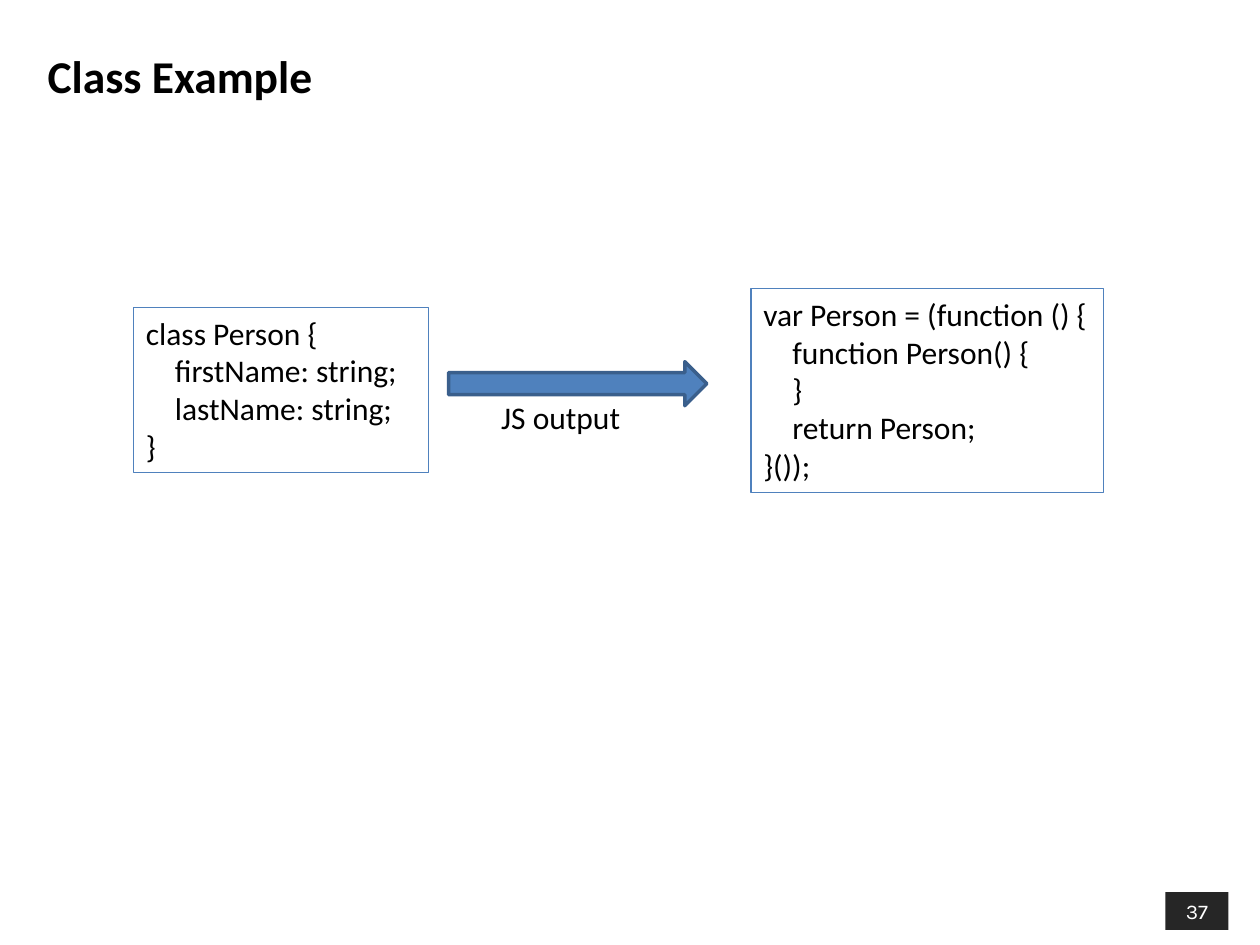
from dataclasses import dataclass

from pptx import Presentation
from pptx.dml.color import RGBColor
from pptx.enum.shapes import MSO_SHAPE
from pptx.enum.text import MSO_ANCHOR, MSO_AUTO_SIZE, PP_ALIGN
from pptx.shapes.autoshape import Shape
from pptx.util import Pt

PX = 9144  # EMU per px, 100 px to the inch
INDENT = 23
RECT, ARROW = MSO_SHAPE.RECTANGLE, MSO_SHAPE.RIGHT_ARROW
TOP, MIDDLE = MSO_ANCHOR.TOP, MSO_ANCHOR.MIDDLE
LEFT, CENTER = PP_ALIGN.LEFT, PP_ALIGN.CENTER
GROW = MSO_AUTO_SIZE.SHAPE_TO_FIT_TEXT
BLACK, WHITE, DARK = "000000", "FFFFFF", "262626"
BLUE, NAVY = "4F81BD", "3A5F8C"


@dataclass
class Box:
    left: int
    top: int
    width: int
    height: int

    def emu(self) -> list[int]:
        return [n * PX for n in (self.left, self.top, self.width, self.height)]


@dataclass
class Line:
    text: str
    level: int = 0


@dataclass
class Code:
    box: Box
    wrap: bool
    lines: list[Line]


CODES = [
    Code(Box(106, 244, 234, 131), True, [
        Line("class Person {"),
        Line("firstName: string;", 1),
        Line("lastName: string;", 1),
        Line("}"),
    ]),
    Code(Box(596, 229, 280, 162), False, [
        Line("var Person = (function () {"),
        Line("function Person() {", 1),
        Line("}", 1),
        Line("return Person;", 1),
        Line("}());"),
    ]),
]


def color(code: str) -> RGBColor:
    return RGBColor.from_string(code)


def draw(slide, kind: MSO_SHAPE, box: Box, fill: str = "",
         line: str = "", weight: float = 0.75) -> Shape:
    """Add a preset shape; an empty colour means no fill or no line."""
    shape = slide.shapes.add_shape(kind, *box.emu())
    shape.shadow.inherit = False
    if fill:
        shape.fill.solid()
        shape.fill.fore_color.rgb = color(fill)
    else:
        shape.fill.background()
    if line:
        shape.line.color.rgb = color(line)
        shape.line.width = Pt(weight)
    else:
        shape.line.fill.background()
    return shape


def write(shape: Shape, lines: list[Line], size: int = 18, ink: str = BLACK,
          face: str = "Calibri", bold: bool = False, align: PP_ALIGN = LEFT,
          anchor: MSO_ANCHOR = TOP, wrap: bool = True) -> None:
    frame = shape.text_frame
    frame.word_wrap = wrap
    frame.vertical_anchor = anchor
    frame.text = "\n".join(line.text for line in lines)
    for para, line in zip(frame.paragraphs, lines):
        para.alignment = align
        if line.level:
            para._p.get_or_add_pPr().set("marL", str(line.level * INDENT * PX))
        for run in para.runs:
            font = run.font
            font.name, font.size, font.bold = face, Pt(size), bold
            font.color.rgb = color(ink)


def main() -> None:
    deck = Presentation()
    deck.slide_width, deck.slide_height = 1000 * PX, 750 * PX
    slide = deck.slides.add_slide(deck.slide_layouts[6])

    badge = draw(slide, RECT, Box(925, 708, 50, 30), DARK)
    write(badge, [Line("37")], 12, WHITE, "Karla", align=CENTER, anchor=MIDDLE)

    title = slide.shapes.add_textbox(*Box(28, 21, 794, 77).emu())
    write(title, [Line("Class Example")], 26, bold=True, anchor=MIDDLE)

    for code in CODES:
        panel = draw(slide, RECT, code.box, line=BLUE)
        write(panel, code.lines, wrap=code.wrap)
        panel.text_frame.auto_size = GROW

    draw(slide, ARROW, Box(356, 287, 205, 35), BLUE, NAVY, 2)
    label = slide.shapes.add_textbox(*Box(388, 311, 116, 40).emu())
    write(label, [Line("JS output")], wrap=False)
    label.text_frame.auto_size = GROW

    deck.save("out.pptx")


if __name__ == "__main__":
    main()
